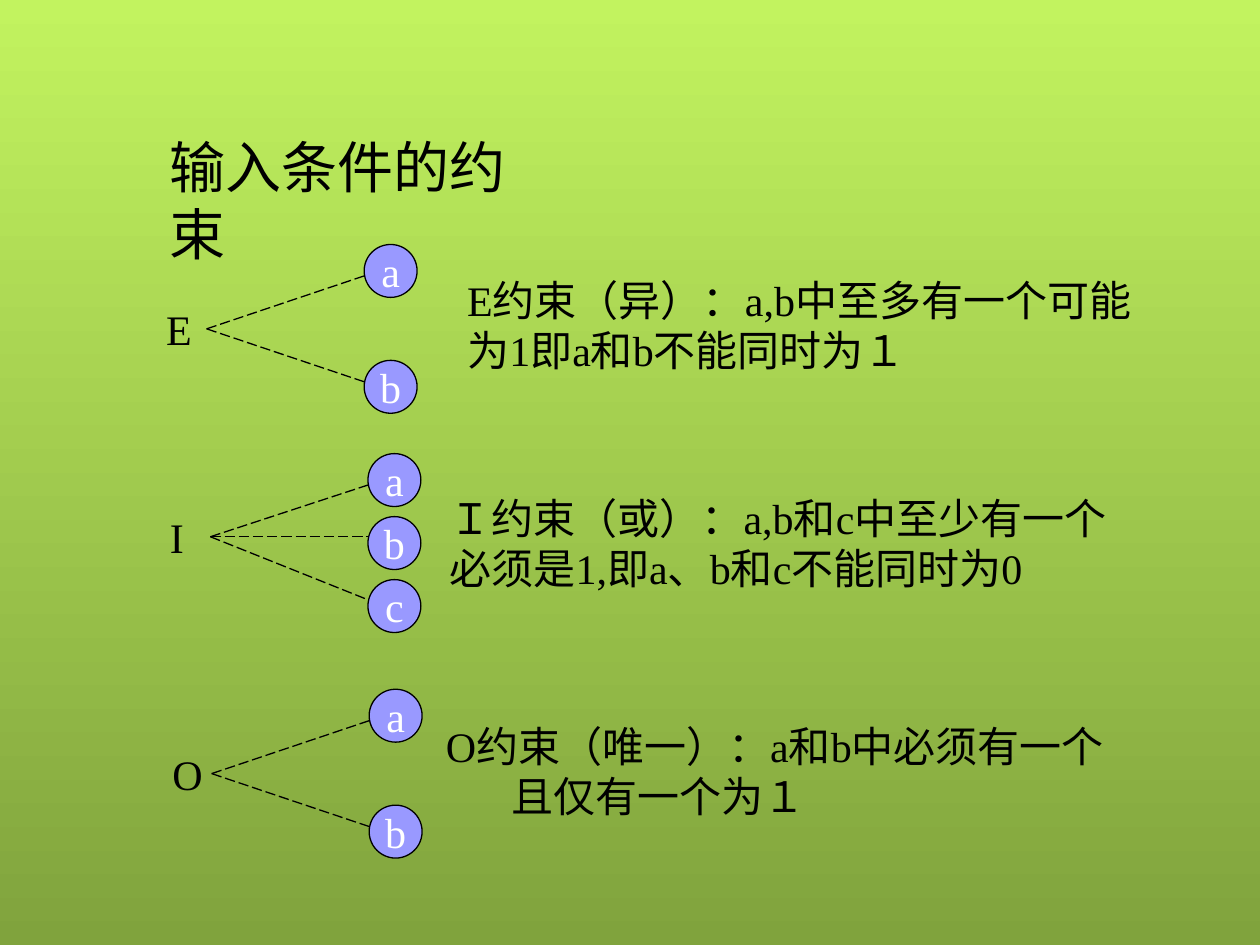
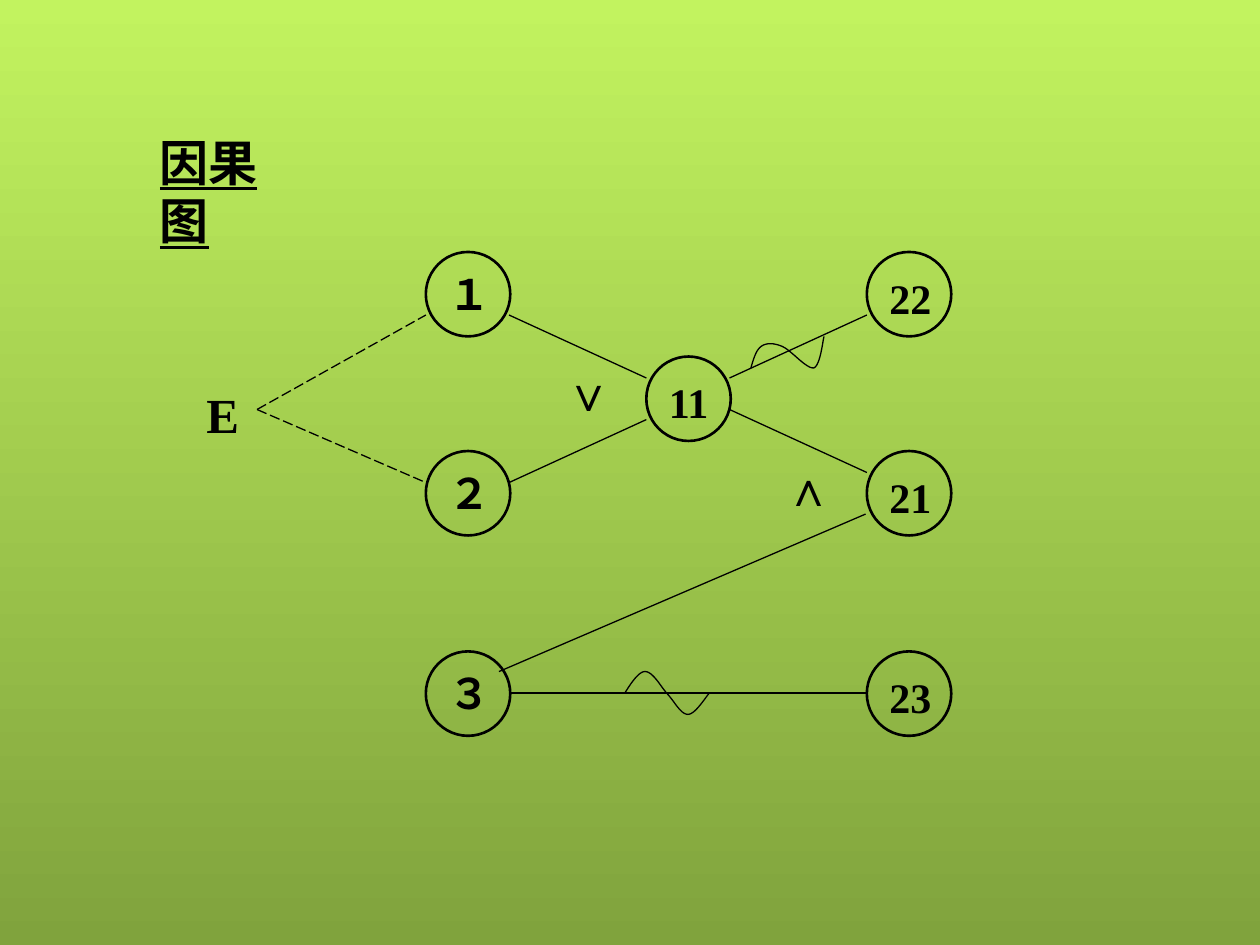
from pptx import Presentation
from pptx.dml.color import RGBColor as RGB
from pptx.enum.dml import MSO_LINE as Dash
from pptx.enum.shapes import MSO_CONNECTOR as Link, MSO_SHAPE as Shape
from pptx.enum.text import MSO_ANCHOR as Anchor, MSO_AUTO_SIZE as Fit, PP_ALIGN as Align
from pptx.oxml.ns import qn
from pptx.util import Inches, Pt
from lxml.etree import SubElement

BLACK = RGB(0x00, 0x00, 0x00)
WHITE = RGB(0xFF, 0xFF, 0xFF)
LILAC = RGB(0x99, 0x99, 0xFF)
LIME = RGB(0xC2, 0xF3, 0x5F)
OLIVE = RGB(0x80, 0xA3, 0x3D)
FONT = "Times New Roman"
DOT = 0.42
RING = 0.67


def paint(master):
    """Give every slide the green gradient."""
    fill = master.background.fill
    fill.gradient()
    fill.gradient_angle = 270
    for stop, color in zip(fill.gradient_stops, (LIME, OLIVE)):
        stop.color.rgb = color


def style(frame, size, color=BLACK, bold=False, under=False):
    """Format all runs of a text frame."""
    for para in frame.paragraphs:
        for run in para.runs:
            font = run.font
            font.name, font.size = FONT, Pt(size)
            font.bold, font.underline = bold, under
            font.color.rgb = color


def write(shapes, text, left, top, width, height, size=24, wrap=False, hang=0, **look):
    """Add a text box, with an optional hanging indent."""
    box = shapes.add_textbox(Inches(left), Inches(top), Inches(width), Inches(height))
    frame = box.text_frame
    frame.text = text
    frame.word_wrap = wrap
    frame.auto_size = Fit.SHAPE_TO_FIT_TEXT
    if hang:
        props = frame.paragraphs[0]._p.get_or_add_pPr()
        props.set("marL", str(Inches(hang)))
        props.set("indent", str(-Inches(hang)))
    style(frame, size, **look)


def circle(shapes, left, top, size, weight, color=None):
    """Add an outlined circle, filled if a color is given."""
    disc = shapes.add_shape(Shape.OVAL, Inches(left), Inches(top), Inches(size), Inches(size))
    disc.shadow.inherit = False
    disc.line.color.rgb = BLACK
    disc.line.width = Pt(weight)
    if color is None:
        disc.fill.background()
    else:
        disc.fill.solid()
        disc.fill.fore_color.rgb = color
    return disc


def dot(shapes, text, left, top):
    """Add a lilac condition node."""
    frame = circle(shapes, left, top, DOT, 0.75, LILAC).text_frame
    frame.text = text
    frame.word_wrap = False
    frame.vertical_anchor = Anchor.MIDDLE
    frame.paragraphs[0].alignment = Align.CENTER
    style(frame, 24, WHITE)


def ring(shapes, text, left, top):
    """Add a grouped ring and its number."""
    group = shapes.add_group_shape().shapes
    circle(group, left, top, RING, 1.5)
    drop = 0.11 if text.isascii() else 0.08
    write(group, text, left + 0.08, top + drop, 0.53, 0.5, bold=True)


def join(shapes, start, end, dashed=False):
    """Draw a thin straight line between two points."""
    line = shapes.add_connector(Link.STRAIGHT, *map(Inches, start + end))
    line.line.color.rgb = BLACK
    line.line.width = Pt(0.75)
    if dashed:
        line.line.dash_style = Dash.LONG_DASH
    SubElement(line._element.spPr, qn("a:effectLst"))


def curve(start, bends, steps=12):
    """Return points along a chain of cubic curves."""
    points = [start]
    for one, two, end in bends:
        first = points[-1]
        for step in range(1, steps + 1):
            t = step / steps
            u = 1 - t
            points.append(tuple(
                u**3 * a + 3 * u * u * t * b + 3 * u * t * t * c + t**3 * d
                for a, b, c, d in zip(first, one, two, end)))
    return points


def wave(shapes, start, bends):
    """Draw the wavy sign for negation."""
    points = [(Inches(x), Inches(y)) for x, y in curve(start, bends)]
    pen = shapes.build_freeform(*points[0])
    pen.add_line_segments(points[1:], close=False)
    sign = pen.convert_to_shape()
    sign.shadow.inherit = False
    sign.fill.background()
    sign.line.color.rgb = BLACK
    sign.line.width = Pt(0.75)


def fan(shapes, name, left, width, node, tip, nodes, ends):
    """Draw a constraint letter with dashed lines to its nodes."""
    write(shapes, name, left, tip - 0.25, width, 0.5)
    for end in ends:
        join(shapes, (node - 1.25, tip), (node, tip + end), dashed=True)
    for text, top in nodes:
        dot(shapes, text, node, top)


def limits(shapes):
    """Build the slide on input constraints."""
    write(shapes, "输入条件的约束", 1.25, 1, 3.31, 0.64, size=32)
    fan(shapes, "E", 1.22, 0.4, 2.89, 2.61, [("a", 1.94), ("b", 2.86)], (-0.42, 0.42))
    fan(shapes, "I", 1.25, 0.31, 2.92, 4.26,
        [("a", 3.6), ("b", 4.1), ("c", 4.6)], (-0.41, 0, 0.5))
    fan(shapes, "O", 1.27, 0.44, 2.93, 6.14, [("a", 5.47), ("b", 6.39)], (-0.42, 0.42))
    write(shapes, "E约束（异）：a,b中至多有一个可能为1即a和b不能同时为１",
          3.61, 2.13, 5.65, 0.9, wrap=True)
    write(shapes, "Ｉ约束（或）：a,b和c中至少有一个\v必须是1,即a、b和c不能同时为0",
          3.47, 3.86, 5.73, 0.9)
    write(shapes, "O约束（唯一）：a和b中必须有一个\v且仅有一个为１",
          3.44, 5.67, 5.82, 0.9, hang=0.52)


def graph(shapes):
    """Build the cause and effect graph."""
    write(shapes, "因果图", 1.17, 1, 1.36, 0.57, size=28, bold=True, under=True)
    rows = (2, 3.58, 5.17)
    for left, names in ((3.38, "１２３"), (6.88, ("22", "21", "23"))):
        for name, top in zip(names, rows):
            ring(shapes, name, left, top)
    ring(shapes, "11", 5.13, 2.83)

    for end in ((3.38, 2.5), (3.38, 3.83)):
        join(shapes, (2.04, 3.25), end, dashed=True)
    for start, end in (
        ((4.04, 2.5), (5.13, 3)),
        ((4.04, 3.83), (5.13, 3.33)),
        ((5.79, 3), (6.88, 2.5)),
        ((5.79, 3.25), (6.88, 3.75)),
        ((6.87, 4.08), (3.96, 5.33)),
        ((4.04, 5.5), (6.88, 5.5)),
    ):
        join(shapes, start, end)

    wave(shapes, (4.96, 5.5), [
        ((5.01, 5.42), (5.07, 5.33), (5.12, 5.33)),
        ((5.18, 5.33), (5.24, 5.44), (5.29, 5.5)),
        ((5.35, 5.56), (5.4, 5.67), (5.46, 5.67)),
        ((5.51, 5.67), (5.57, 5.58), (5.63, 5.5)),
    ])
    wave(shapes, (5.96, 2.92), [
        ((5.98, 2.85), (6, 2.78), (6.04, 2.75)),
        ((6.08, 2.72), (6.14, 2.72), (6.21, 2.75)),
        ((6.28, 2.78), (6.4, 2.93), (6.46, 2.92)),
        ((6.51, 2.9), (6.53, 2.71), (6.54, 2.67)),
    ])
    for text, left, top, width in (
        ("∨", 4.38, 2.83, 0.59), ("∧", 6.13, 3.58, 0.59), ("E", 1.54, 3, 0.46),
    ):
        write(shapes, text, left, top, width, 0.57, size=28, bold=True)


def main():
    """Build and save the deck."""
    deck = Presentation()
    deck.slide_width, deck.slide_height = Inches(10), Inches(7.5)
    paint(deck.slide_master)
    for build in (limits, graph):
        build(deck.slides.add_slide(deck.slide_layouts[6]).shapes)
    deck.save("out.pptx")


if __name__ == "__main__":
    main()
